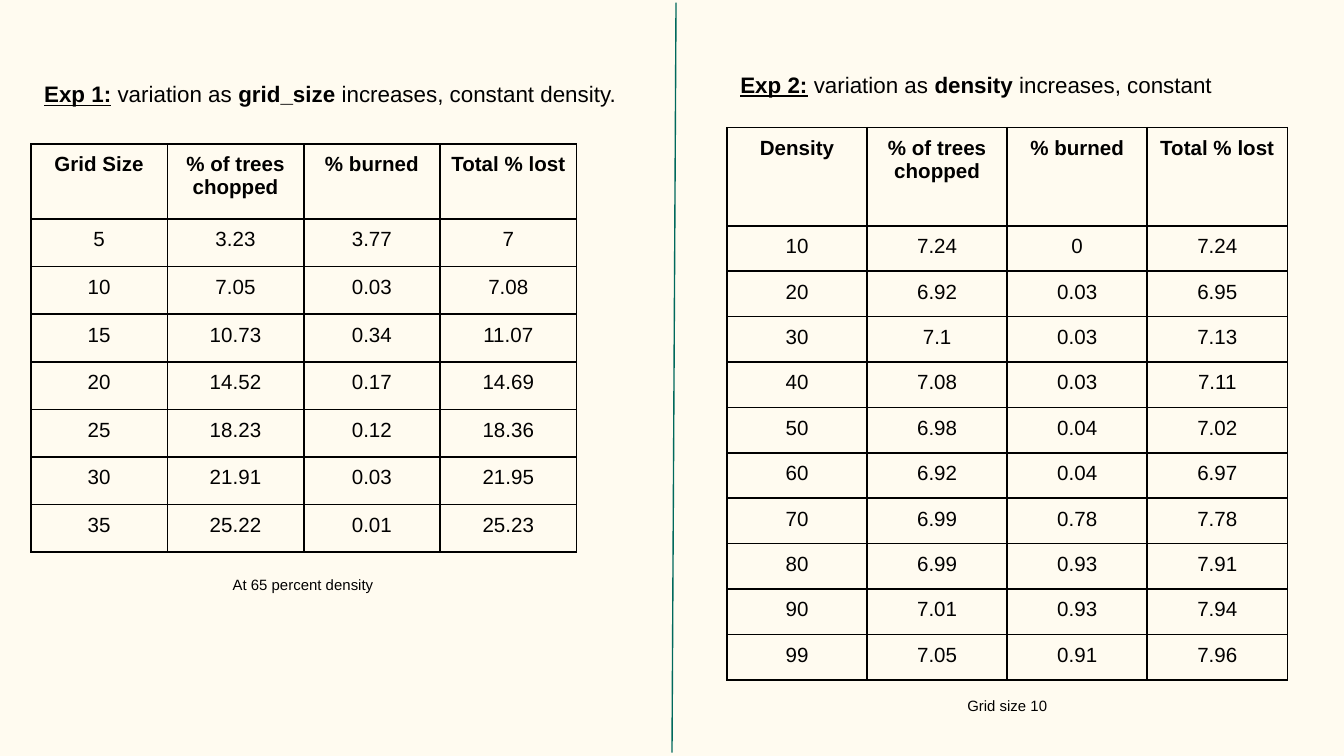
from collections import namedtuple
from lxml.etree import SubElement
from pptx import Presentation
from pptx.dml.color import RGBColor
from pptx.enum.shapes import MSO_CONNECTOR
from pptx.enum.text import MSO_AUTO_SIZE, PP_ALIGN
from pptx.oxml import parse_xml
from pptx.oxml.ns import nsdecls, qn
from pptx.util import Inches, Pt

Theme = namedtuple("Theme", "paper ink teal font title cell note")
theme = Theme("FFFBF0", "000000", "00695C", "Arial", 12, 11, 8)

HEADS = ["% of trees chopped", "% burned", "Total % lost"]
grids = [
    ["Grid Size", *HEADS],
    ["5", "3.23", "3.77", "7"],
    ["10", "7.05", "0.03", "7.08"],
    ["15", "10.73", "0.34", "11.07"],
    ["20", "14.52", "0.17", "14.69"],
    ["25", "18.23", "0.12", "18.36"],
    ["30", "21.91", "0.03", "21.95"],
    ["35", "25.22", "0.01", "25.23"],
]
woods = [
    ["Density", *HEADS],
    ["10", "7.24", "0", "7.24"],
    ["20", "6.92", "0.03", "6.95"],
    ["30", "7.1", "0.03", "7.13"],
    ["40", "7.08", "0.03", "7.11"],
    ["50", "6.98", "0.04", "7.02"],
    ["60", "6.92", "0.04", "6.97"],
    ["70", "6.99", "0.78", "7.78"],
    ["80", "6.99", "0.93", "7.91"],
    ["90", "7.01", "0.93", "7.94"],
    ["99", "7.05", "0.91", "7.96"],
]

# Title, table and note of each side: boxes are left, top, width, height
Side = namedtuple("Side", "name factor rest title rows left top wide head body note foot")
sides = [
    Side("Exp 1:", "grid_size", " increases, constant density.", (0.23, 0.47, 4.58, 0.86),
         grids, 0.23, 1.07, 4.06, 0.56, 2.48, "At 65 percent density", (0.23, 4.19, 4.05, 0.34)),
    Side("Exp 2:", "density", " increases, constant", (5.41, 0.4, 4.28, 0.86),
         woods, 5.41, 0.95, 4.17, 0.73, 3.38, "Grid size 10", (5.41, 5.09, 4.17, 0.34)),
]

deck = Presentation()
deck.slide_width = Inches(10)
deck.slide_height = Inches(10 * 9 / 16)
slide = deck.slides.add_slide(deck.slide_layouts[6])
slide.background.fill.solid()
slide.background.fill.fore_color.rgb = RGBColor.from_string(theme.paper)


def add_run(para, text, size, bold=False, under=False):
    run = para.add_run()
    run.text = text
    font = run.font
    font.name, font.size, font.bold, font.underline = theme.font, Pt(size), bold, under
    font.color.rgb = RGBColor.from_string(theme.ink)


def add_box(box):
    """Add a wrapped text box and return its first paragraph."""
    frame = slide.shapes.add_textbox(*map(Inches, box)).text_frame
    frame.word_wrap = True
    frame.auto_size = MSO_AUTO_SIZE.SHAPE_TO_FIT_TEXT
    frame.margin_left = frame.margin_right = Inches(0.1)
    frame.margin_top = frame.margin_bottom = Inches(0.1)
    para = frame.paragraphs[0]
    para.line_spacing = 1.15
    return para


for side in sides:
    para = add_box(side.title)
    add_run(para, side.name, theme.title, bold=True, under=True)
    add_run(para, " ", theme.title, bold=True)
    add_run(para, "variation as ", theme.title)
    add_run(para, side.factor, theme.title, bold=True)
    add_run(para, side.rest, theme.title)

    count = len(side.rows)
    table = slide.shapes.add_table(
        count, 4, Inches(side.left), Inches(side.top),
        Inches(side.wide), Inches(side.head + side.body)).table
    table.first_row = table.horz_banding = False
    for r, row in enumerate(side.rows):
        table.rows[r].height = Inches(side.body / (count - 1) if r else side.head)
        for c, text in enumerate(row):
            cell = table.cell(r, c)
            cell.margin_left = cell.margin_right = Inches(0.07)
            cell.margin_top = cell.margin_bottom = Inches(0.07)
            para = cell.text_frame.paragraphs[0]
            para.alignment = PP_ALIGN.CENTER
            add_run(para, text, theme.cell, bold=r == 0)
            props = cell._tc.get_or_add_tcPr()
            for edge in ("lnL", "lnR", "lnT", "lnB"):
                props.append(parse_xml(
                    f'<a:{edge} {nsdecls("a")} w="{Pt(1)}"><a:solidFill>'
                    f'<a:srgbClr val="{theme.ink}"/></a:solidFill></a:{edge}>'))
            cell.fill.background()

    para = add_box(side.foot)
    para.alignment = PP_ALIGN.CENTER
    para.space_after = Pt(12)
    add_run(para, side.note, theme.note)

rule = slide.shapes.add_connector(
    MSO_CONNECTOR.STRAIGHT, Inches(5.03), Inches(0.02), Inches(5), Inches(5.6))
rule.line.color.rgb = RGBColor.from_string(theme.teal)
rule.line.width = Pt(0.75)
SubElement(rule._element.spPr, qn("a:effectLst"))

deck.save("out.pptx")
